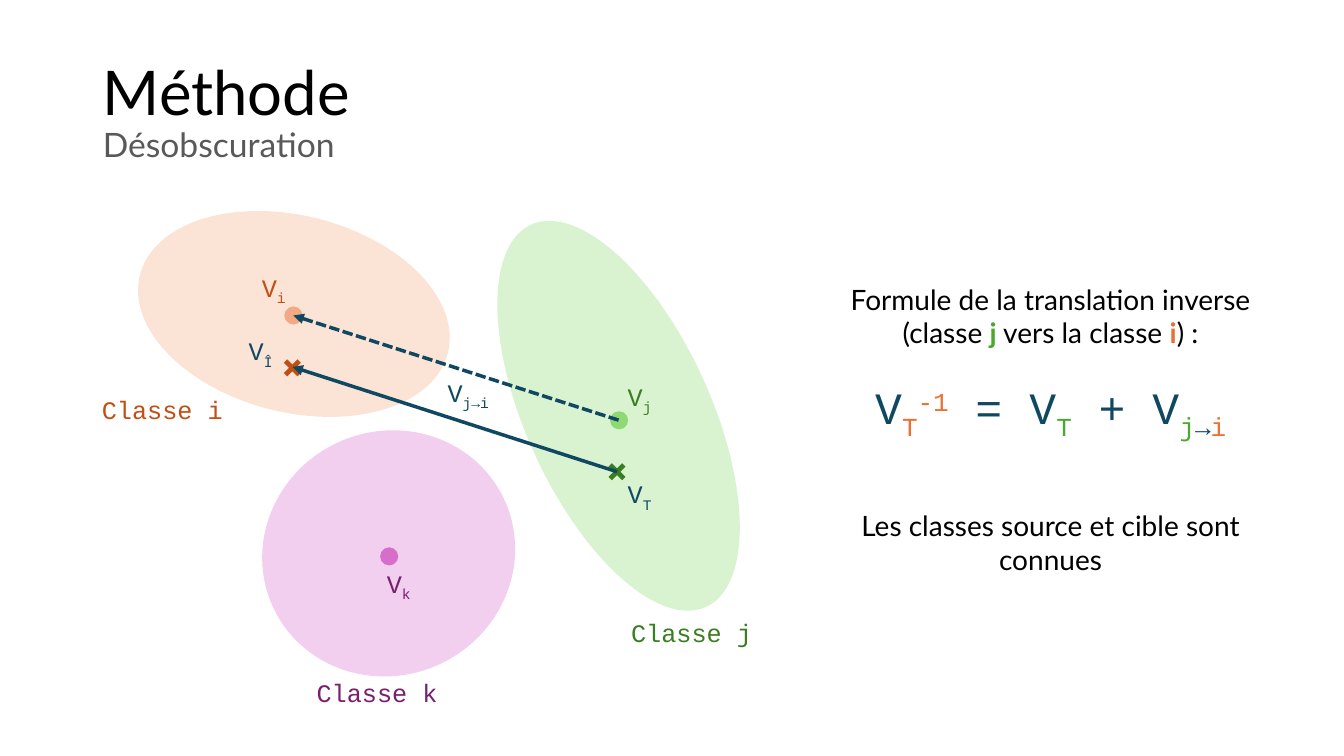
from lxml.etree import SubElement
from pptx import Presentation
from pptx.dml.color import RGBColor
from pptx.enum.dml import MSO_LINE
from pptx.enum.shapes import MSO_CONNECTOR, MSO_SHAPE
from pptx.enum.text import MSO_ANCHOR, MSO_AUTO_SIZE, PP_ALIGN
from pptx.oxml.ns import qn
from pptx.util import Inches, Pt

MONO, SANS = "Courier New", "Lato"
BLACK, GREY, NAVY = "000000", "595959", "104862"
RUST, LEAF, PLUM = "C04F15", "3B7D23", "78206E"
ORANGE, GREEN = "E97132", "4EA72E"
SUB, SUP = -25, 30

# left, top, width, height, rotation, colour
CLASSES = [
    (1.34, 2.14, 3.15, 1.95, 14.2, "FBE3D6"),
    (2.59, 4.28, 2.53, 2.42, 333.6, "F2CFEE"),
    (4.05, 3.21, 4.17, 1.83, 65.4, "D9F2D0"),
]
# centre x, centre y, colour
DOTS = [(2.91, 3.13, "F2AA84"), (6.14, 4.17, "8ED973"), (3.86, 5.52, "D86ECC")]
CROSSES = [(6.12, 4.68, LEAF), (2.9, 3.65, RUST)]
# tip, tail, dash
ARROWS = [
    ((2.91, 3.13), (6.14, 4.17), MSO_LINE.SQUARE_DOT),
    ((2.9, 3.64), (6.12, 4.68), None),
]
# left, top, subscript, colour
VECTORS = [
    (4.21, 3.69, "j→i", NAVY),
    (2.28, 2.65, "i", RUST),
    (5.91, 3.73, "j", LEAF),
    (3.52, 5.59, "k", PLUM),
    (2.15, 3.28, "Î", NAVY),
    (5.91, 4.7, "T", NAVY),
]
# left, top, text, colour
NAMES = [
    (0.83, 3.86, "Classe i", RUST),
    (6.08, 6.08, "Classe j", LEAF),
    (2.96, 6.67, "Classe k", PLUM),
]
INTRO = [
    ("Formule de la translation inverse (classe ", {}),
    ("j", {"color": GREEN, "bold": True}),
    (" vers la classe ", {}),
    ("i", {"color": ORANGE, "bold": True}),
    (") :", {}),
]
FORMULA = [
    ("V", {}),
    ("T", {"color": ORANGE, "base": SUB}),
    ("-1", {"color": ORANGE, "base": SUP}),
    (" = V", {}),
    ("T", {"color": GREEN, "base": SUB}),
    (" + V", {}),
    ("j", {"color": GREEN, "base": SUB}),
    ("→", {"base": SUB}),
    ("i", {"color": ORANGE, "base": SUB}),
]
CLOSING = [("Les classes source et cible sont connues", {})]


def rgb(code):
    return RGBColor.from_string(code)


def write(para, text, size=18, font=MONO, color=BLACK, bold=False, base=0):
    run = para.add_run()
    run.text = text
    run.font.size = Pt(size)
    run.font.name = font
    run.font.bold = bold
    run.font.color.rgb = rgb(color)
    if base:
        run.font._element.set("baseline", str(base * 1000))


def add_box(left, top, width, height):
    box = slide.shapes.add_textbox(*map(Inches, (left, top, width, height)))
    frame = box.text_frame
    frame.word_wrap = True
    frame.auto_size = MSO_AUTO_SIZE.SHAPE_TO_FIT_TEXT
    frame.paragraphs[0].alignment = PP_ALIGN.CENTER
    return frame


def add_form(kind, left, top, width, height, color, turn=0):
    form = slide.shapes.add_shape(kind, *map(Inches, (left, top, width, height)))
    form.rotation = turn
    form.shadow.inherit = False
    form.fill.solid()
    form.fill.fore_color.rgb = rgb(color)
    form.line.fill.background()
    return form


def add_mark(kind, x, y, size, color):
    """Add a square form centred on a point."""
    return add_form(kind, x - size / 2, y - size / 2, size, size, color)


def add_arrow(tip, tail, dash):
    arrow = slide.shapes.add_connector(
        MSO_CONNECTOR.STRAIGHT, *map(Inches, tip + tail))
    arrow.line.width = Pt(2.5)
    arrow.line.color.rgb = rgb(NAVY)
    if dash:
        arrow.line.dash_style = dash
    props = arrow._element.spPr
    SubElement(props.find(qn("a:ln")), qn("a:headEnd"), type="triangle")
    SubElement(props, qn("a:effectLst"))


deck = Presentation()
deck.slide_width, deck.slide_height = Inches(13.33), Inches(7.5)
slide = deck.slides.add_slide(deck.slide_layouts[5])

title = slide.shapes.title
title.left, title.top = Inches(0.92), Inches(0.4)
title.width, title.height = Inches(11.5), Inches(1.45)
title.text_frame.vertical_anchor = MSO_ANCHOR.MIDDLE
title.text_frame.auto_size = MSO_AUTO_SIZE.NONE
head = title.text_frame.paragraphs[0]
head.alignment = PP_ALIGN.LEFT
head.line_spacing = 0.9
write(head, "Méthode", size=44, font=SANS)
head.add_line_break()
write(head, "Désobscuration", size=24, font=SANS, color=GREY)

for left, top, width, height, turn, color in CLASSES:
    add_form(MSO_SHAPE.OVAL, left, top, width, height, color, turn)
for x, y, color in DOTS:
    add_mark(MSO_SHAPE.OVAL, x, y, 0.18, color)
for x, y, color in CROSSES:
    cross = add_mark(MSO_SHAPE.MATH_MULTIPLY, x, y, 0.26, color)
    cross.adjustments[0] = 0.18
for tip, tail, dash in ARROWS:
    add_arrow(tip, tail, dash)

for left, top, index, color in VECTORS:
    para = add_box(left, top, 0.87, 0.4).paragraphs[0]
    write(para, "V", color=color)
    write(para, index, color=color, base=SUB)
for left, top, name, color in NAMES:
    write(add_box(left, top, 1.56, 0.4).paragraphs[0], name, color=color)

plain = {"size": 20, "font": SANS}
maths = {"size": 32, "color": NAVY}
frame = add_box(8.17, 2.75, 4.5, 2.85)
for runs, style, gap in [(INTRO, plain, 0), (FORMULA, maths, 22), (CLOSING, plain, 48)]:
    para = frame.add_paragraph() if gap else frame.paragraphs[0]
    para.alignment = PP_ALIGN.CENTER
    if gap:
        para.space_before = Pt(gap)
    for text, extra in runs:
        write(para, text, **{**style, **extra})

deck.save("out.pptx")
